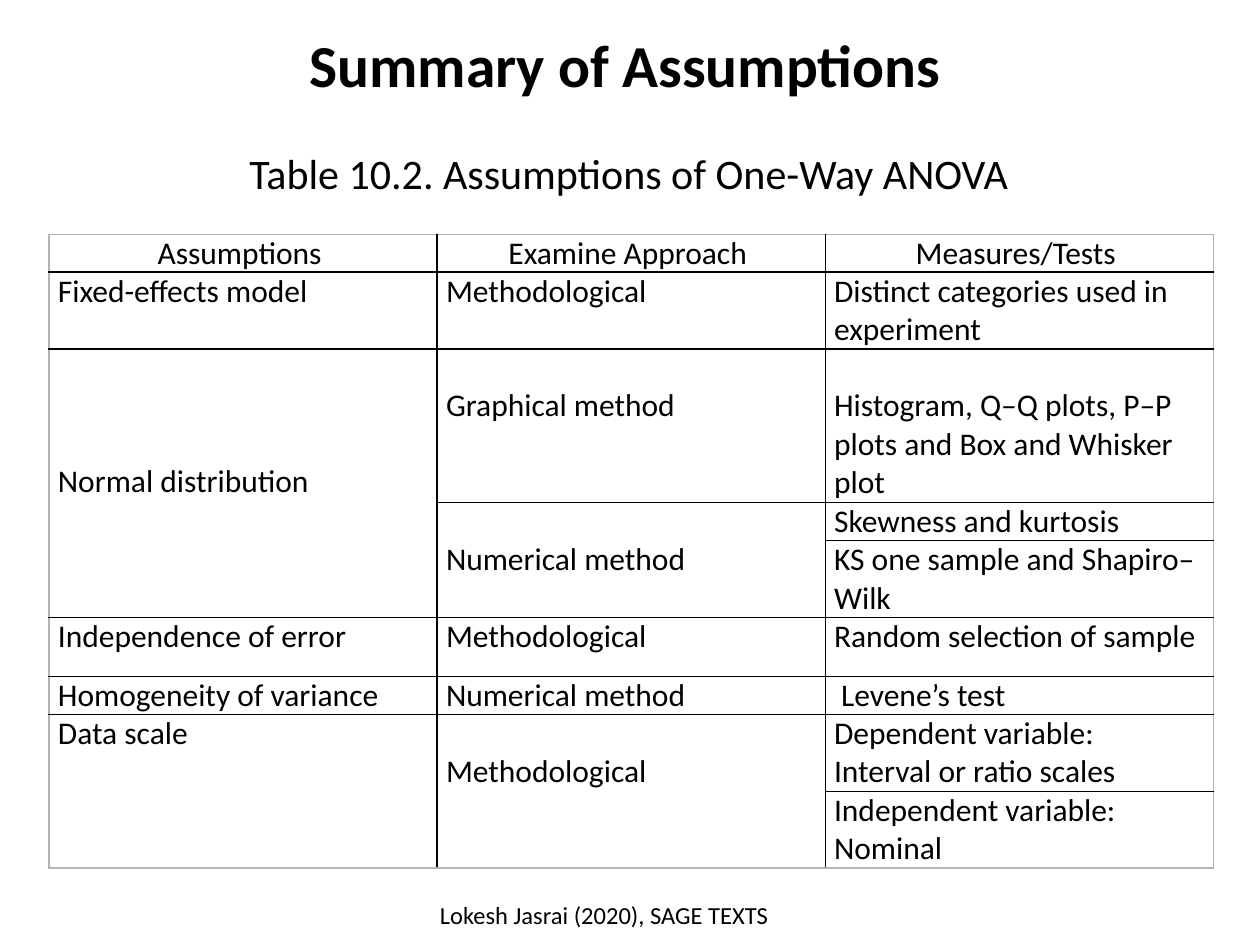
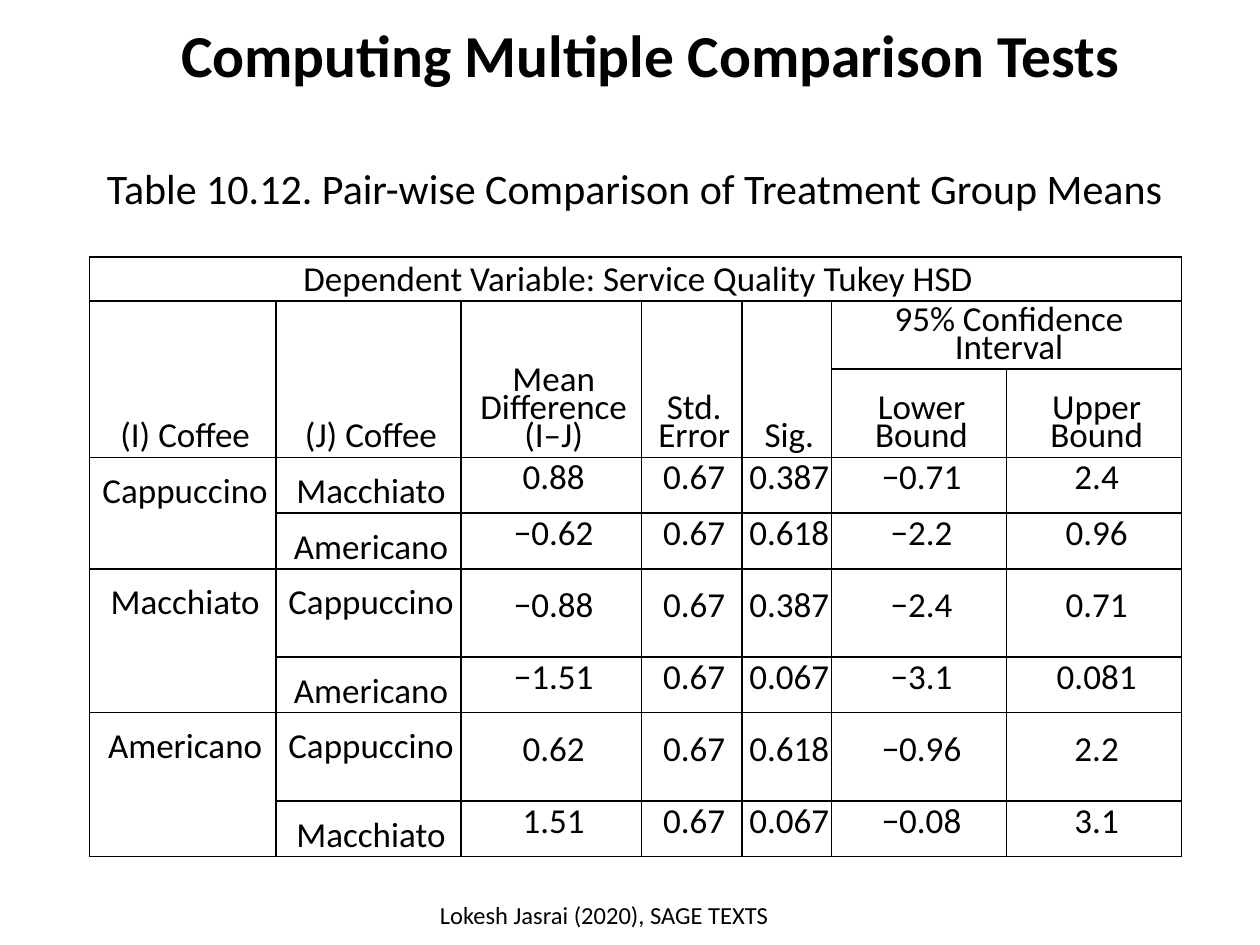
from lxml import etree
from pptx import Presentation
from pptx.dml.color import RGBColor
from pptx.enum.text import MSO_ANCHOR, MSO_AUTO_SIZE, PP_ALIGN
from pptx.oxml.ns import qn
from pptx.util import Inches, Pt

TOP, MID, LOW = MSO_ANCHOR.TOP, MSO_ANCHOR.MIDDLE, MSO_ANCHOR.BOTTOM
LEFT, CENTER = PP_ALIGN.LEFT, PP_ALIGN.CENTER
GROW = MSO_AUTO_SIZE.SHAPE_TO_FIT_TEXT
BLACK = RGBColor(0, 0, 0)
GREY = RGBColor(0xB3, 0xB3, 0xB3)
FONT = "Calibri"
FOOTER = "Lokesh Jasrai (2020), SAGE TEXTS"
FOOT_BOX = (3.01, 7.09, 3.57, 0.4)

LINE = 0.3
TESTS = [
    ["Assumptions ", "Examine Approach ", "Measures/Tests "],
    ["Fixed-effects model", "Methodological", "Distinct categories used in experiment"],
    ["Normal distribution", "Graphical method",
     "Histogram, Q–Q plots, P–P plots and Box and Whisker plot"],
    [None, "Numerical method", "Skewness and kurtosis"],
    [None, None, "KS one sample and Shapiro–Wilk"],
    ["Independence of error", "Methodological", "Random selection of sample"],
    ["Homogeneity of variance", "Numerical method", " Levene’s test"],
    ["Data scale", "Methodological", "Dependent variable:\vInterval or ratio scales"],
    [None, None, "Independent variable:\vNominal"],
]
TEST_PADS = {(2, 0): 3 * LINE, (2, 1): LINE, (2, 2): LINE, (3, 1): LINE, (7, 1): LINE}

PAIRS = [
    ["Dependent Variable: Service Quality Tukey HSD"] + [None] * 6,
    ["(I) Coffee", "(J) Coffee", "Mean Difference (I–J)", "Std. Error", "Sig.",
     "95% Confidence Interval", None],
    [None] * 5 + ["Lower Bound", "Upper Bound"],
    ["Cappuccino", "Macchiato", "0.88", "0.67", "0.387", "−0.71", "2.4"],
    [None, "Americano", "−0.62", "0.67", "0.618", "−2.2", "0.96"],
    ["Macchiato", "Cappuccino", "−0.88", "0.67", "0.387", "−2.4", "0.71"],
    [None, "Americano", "−1.51", "0.67", "0.067", "−3.1", "0.081"],
    ["Americano", "Cappuccino", "0.62", "0.67", "0.618", "−0.96", "2.2"],
    [None, "Macchiato", "1.51", "0.67", "0.067", "−0.08", "3.1"],
]
HEAD = 3
PAIR_SPANS = {(0, 0): (1, 7), (1, 5): (1, 2)}
PAIR_SPANS.update({(1, col): (2, 1) for col in range(5)})
PAIR_SPANS.update({(row, 0): (2, 1) for row in range(HEAD, len(PAIRS), 2)})


def test_look(row, col):
    return {"align": LEFT if row else CENTER, "anchor": TOP,
            "pad": TEST_PADS.get((row, col), 0)}


def pair_look(row, col):
    name = row >= HEAD and col < 2
    return {"align": CENTER, "pad": 0.22 if name else 0,
            "anchor": LOW if row < HEAD else TOP if name else MID}


SLIDES = [
    {"title": "Summary of Assumptions ", "box": (0.75, 0.24, 8.53, 0.64),
     "label": "Table 10.2. Assumptions of One-Way ANOVA",
     "spot": (1.88, 1.12, 6.28, 0.5),
     "grid": {"rows": TESTS, "at": (0.39, 1.86), "wide": [3.08] * 3,
              "high": [0.3, 0.61, 1.22, 0.3, 0.61, 0.47, 0.3, 0.61, 0.61],
              "spans": {(2, 0): (3, 1), (3, 1): (2, 1), (7, 0): (2, 1), (7, 1): (2, 1)},
              "look": test_look, "size": 18, "space": None,
              "sides": (0.07, 0.07), "edge": GREY}},
    {"title": "Computing Multiple Comparison Tests", "box": (0.95, 0.16, 8.42, 0.64),
     "label": "Table 10.12. Pair-wise Comparison of Treatment Group Means",
     "spot": (0.75, 1.24, 8.67, 0.5),
     "grid": {"rows": PAIRS, "at": (0.71, 2.04),
              "wide": [1.48, 1.47, 1.43, 0.8, 0.71, 1.39, 1.39],
              "high": [0.35, 0.54, 0.7, 0.44, 0.44, 0.7, 0.44, 0.7, 0.44],
              "spans": PAIR_SPANS, "look": pair_look, "size": 20, "space": Pt(16),
              "sides": (0.04, 0), "edge": BLACK}},
]


def set_all(item, values):
    for key, value in values.items():
        setattr(item, key, value)


def write(para, text, size, bold=False, align=LEFT, space=None):
    para.text = text
    set_all(para, {"alignment": align, "line_spacing": space})
    set_all(para.font, {"name": FONT, "size": Pt(size), "bold": bold})
    para.font.color.rgb = BLACK


def add_text(slide, box, text, size, frame, **style):
    shape = slide.shapes.add_textbox(*map(Inches, box))
    set_all(shape.text_frame, frame)
    write(shape.text_frame.paragraphs[0], text, size, **style)


def add_lines(cell, colors):
    props = cell._tc.get_or_add_tcPr()
    for index, (side, color) in enumerate(zip("LRTB", colors)):
        line = etree.Element(qn(f"a:ln{side}"), w=str(Pt(1)))
        fill = etree.SubElement(line, qn("a:solidFill"))
        etree.SubElement(fill, qn("a:srgbClr"), val=str(color))
        props.insert(index, line)


def add_grid(slide, grid):
    rows, wide, high = grid["rows"], grid["wide"], grid["high"]
    box = (*grid["at"], sum(wide), sum(high))
    table = slide.shapes.add_table(len(rows), len(wide), *map(Inches, box)).table
    set_all(table, {"first_row": False, "horz_banding": False})
    for column, width in zip(table.columns, wide):
        column.width = Inches(width)
    for line, height in zip(table.rows, high):
        line.height = Inches(height)
    for (row, col), (tall, broad) in grid["spans"].items():
        table.cell(row, col).merge(table.cell(row + tall - 1, col + broad - 1))
    left, right = grid["sides"]
    for row, texts in enumerate(rows):
        for col, text in enumerate(texts):
            cell, look = table.cell(row, col), grid["look"](row, col)
            tall, broad = grid["spans"].get((row, col), (1, 1))
            set_all(cell, {"margin_left": Inches(left), "margin_right": Inches(right),
                           "margin_top": Inches(look["pad"]), "margin_bottom": 0,
                           "vertical_anchor": look["anchor"]})
            cell.fill.background()
            outer = (col == 0, col + broad == len(wide), row == 0, row + tall == len(rows))
            add_lines(cell, [grid["edge"] if out else BLACK for out in outer])
            write(cell.text_frame.paragraphs[0], text or "", grid["size"],
                  align=look["align"], space=grid["space"])


def main():
    deck = Presentation()
    set_all(deck, {"slide_width": Inches(10), "slide_height": Inches(7.5)})
    for page in SLIDES:
        slide = deck.slides.add_slide(deck.slide_layouts[6])
        add_text(slide, page["box"], page["title"], 34, {"word_wrap": True},
                 bold=True, align=CENTER, space=0.9)
        add_grid(slide, page["grid"])
        add_text(slide, page["spot"], page["label"], 24,
                 {"word_wrap": False, "auto_size": GROW, "vertical_anchor": MID})
        add_text(slide, FOOT_BOX, FOOTER, 14, {"word_wrap": True}, align=CENTER)
    deck.save("out.pptx")


if __name__ == "__main__":
    main()
